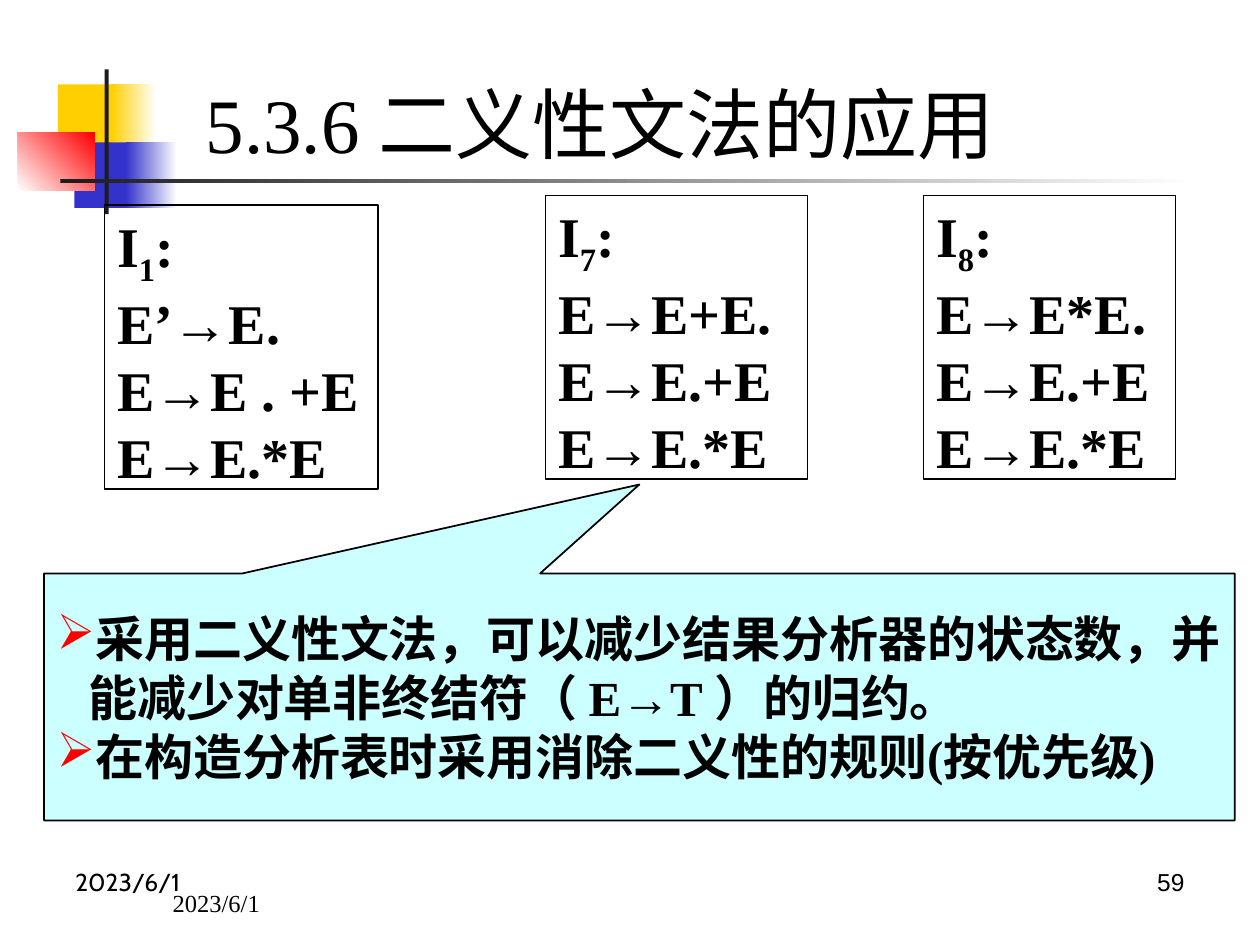
"""Build the slide on uses of ambiguous grammars."""
from lxml import etree
from pptx import Presentation
from pptx import util as u
from pptx.dml.color import RGBColor
from pptx.enum import shapes, text
from pptx.oxml.ns import qn

COLORS = {"yellow": "FFCF01", "blue": "3333CC", "red": "FF0000", "ink": "1C1C1C",
          "white": "FFFFFF", "black": "000000", "cyan": "CCFFFF"}
SERIF = "Times New Roman"
TITLE = "5.3.6 二义性文法的应用"
DECORATIONS = [
    ((1.17, 1.7, 1.22, 1.32), ["yellow"], 0),
    ((2.24, 1.7, 0.91, 1.32), ["yellow", "white"], 0),
    ((1.5, 2.87, 1.17, 1.32), ["blue"], 0),
    ((2.54, 2.87, 1.02, 1.32), ["blue", "white"], 0),
    ((0.36, 2.67, 1.55, 1.17), ["white", "red"], 45),
    ((2.11, 1.4, 0.08, 2.92), ["ink"], 0),
    ((1.22, 3.61, 22.86, 0.08), ["ink", "white"], 0),
]
ITEM_SETS = [
    ((2.11, 4.14, 5.51, 5.72), "1", ["E’→E.", "E→E . +E", "E→E.*E"]),
    ((11, 3.94, 5.28, 5.72), "7", ["E→E+E.", "E→E.+E E→E.*E"]),
    ((18.62, 3.94, 5.08, 5.72), "8", ["E→E*E.", "E→E.+E E→E.*E"]),
]
REMARKS = ["采用二义性文法，可以减少结果分析器的状态数，并能减少对单非终结符（ E→T ）的归约。",
           "在构造分析表时采用消除二义性的规则(按优先级)"]
FOOTERS = [
    ((1.27, 17.35, 5.92, 1.32), "2023/6/1", "Cabin", "LEFT", "TOP"),
    ((18.21, 17.35, 5.92, 1.32), "59", "Arial", "RIGHT", "TOP"),
    ((3.23, 17.35, 5.28, 1.27), "2023/6/1", SERIF, "LEFT", "BOTTOM"),
]


def color(name):
    return RGBColor.from_string(COLORS[name])


def set_values(target, values):
    for name, value in values.items():
        setattr(target, name, value)


def set_frame(shape, anchor="TOP", auto_size="NONE"):
    set_values(shape.text_frame, {
        "word_wrap": True,
        "auto_size": getattr(text.MSO_AUTO_SIZE, auto_size),
        "vertical_anchor": getattr(text.MSO_ANCHOR, anchor)})
    return shape.text_frame


def add_shape(slide, kind, box, fills=(), angle=0, outlined=False):
    shape = slide.shapes.add_shape(kind, *map(u.Cm, box))
    shape.shadow.inherit = False
    if len(fills) == 2:
        shape.fill.gradient()
        shape.fill.gradient_angle = angle
        for stop, name in zip(shape.fill.gradient_stops, fills):
            stop.color.rgb = color(name)
    elif fills:
        shape.fill.solid()
        shape.fill.fore_color.rgb = color(fills[0])
    else:
        shape.fill.background()
    if outlined:
        shape.line.color.rgb = color("black")
        shape.line.width = u.Pt(1)
    else:
        shape.line.fill.background()
    return shape


def write(frame, lines, size, font=SERIF, bold=False, align="LEFT"):
    """Write lines, each a list of (words, is subscript) runs."""
    for index, runs in enumerate(lines):
        paragraph = frame.add_paragraph() if index else frame.paragraphs[0]
        paragraph.alignment = getattr(text.PP_ALIGN, align)
        for words, subscript in runs:
            run = paragraph.add_run()
            run.text = words
            set_values(run.font, {"size": u.Pt(size), "name": font, "bold": bold})
            run.font.color.rgb = color("black")
            if subscript:
                run.font._element.set("baseline", "-25000")


def add_bullet(paragraph):
    properties = paragraph._p.get_or_add_pPr()
    properties.set("marL", str(u.Cm(0.64)))
    properties.set("indent", str(u.Cm(-0.64)))
    bullet_color = etree.SubElement(properties, qn("a:buClr"))
    etree.SubElement(bullet_color, qn("a:srgbClr"), val=COLORS["red"])
    etree.SubElement(properties, qn("a:buChar"), char="➢")


def main():
    presentation = Presentation()
    set_values(presentation, {"slide_width": u.Cm(25.4), "slide_height": u.Cm(19.05)})
    slide = presentation.slides.add_slide(presentation.slide_layouts[5])
    rectangle = shapes.MSO_SHAPE.RECTANGLE

    for box, fills, angle in DECORATIONS:
        add_shape(slide, rectangle, box, fills, angle)

    title = slide.shapes.title
    set_values(title, dict(zip(("left", "top", "width", "height"),
                               map(u.Cm, (3.89, 1.63, 20.45, 1.7)))))
    write(set_frame(title, "MIDDLE"), [[(TITLE, False)]], 44)

    for box, number, items in ITEM_SETS:
        shape = add_shape(slide, rectangle, box, outlined=True)
        heading = [("I", False), (number, True), (":", False)]
        lines = [heading] + [[(item, False)] for item in items]
        write(set_frame(shape, auto_size="SHAPE_TO_FIT_TEXT"), lines, 32, bold=True)

    callout = add_shape(slide, shapes.MSO_SHAPE.RECTANGULAR_CALLOUT,
                        (0.89, 11.56, 24, 4.98), ["cyan"], outlined=True)
    callout.adjustments[0], callout.adjustments[1] = 0, -0.86
    frame = set_frame(callout, "MIDDLE")
    write(frame, [[(remark, False)] for remark in REMARKS], 28, bold=True)
    for paragraph in frame.paragraphs:
        add_bullet(paragraph)

    for box, words, font, align, anchor in FOOTERS:
        footer = slide.shapes.add_textbox(*map(u.Cm, box))
        write(set_frame(footer, anchor), [[(words, False)]], 14, font, align=align)

    presentation.save("out.pptx")


if __name__ == "__main__":
    main()
